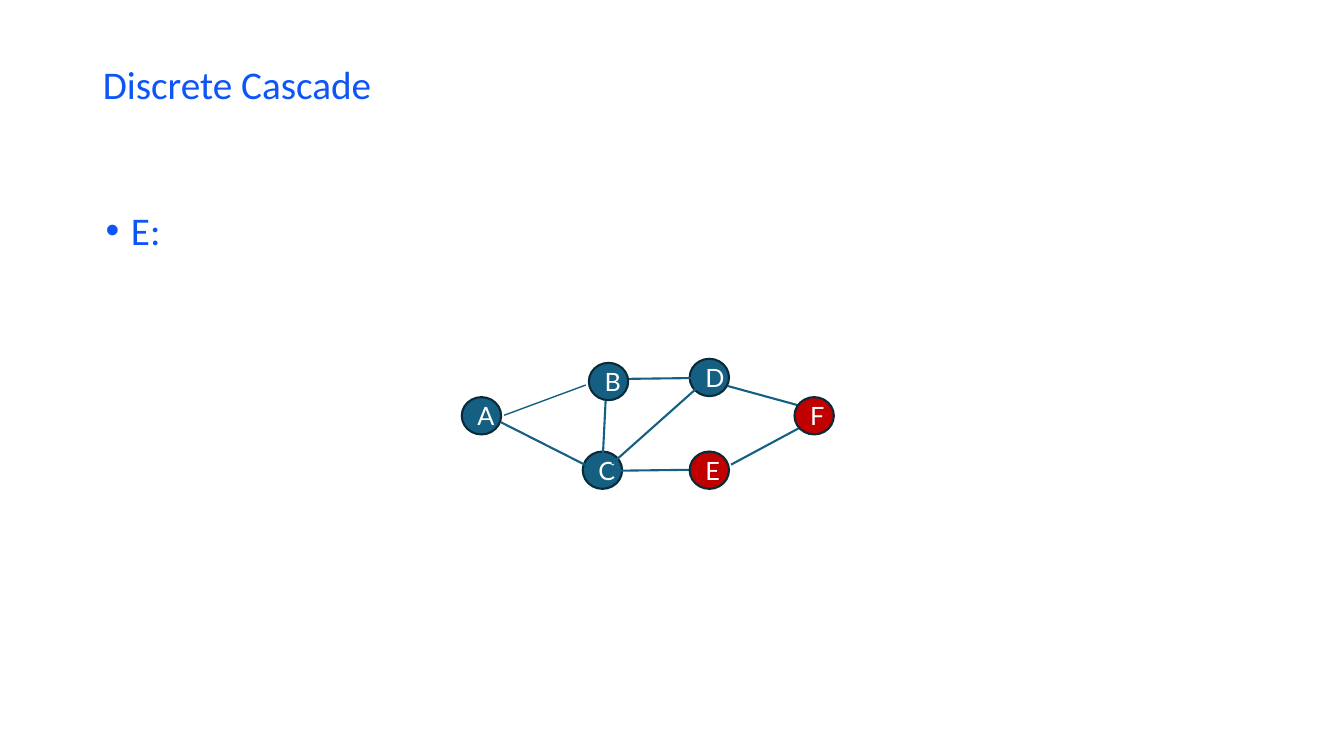
from dataclasses import dataclass

from lxml import etree
from pptx import Presentation
from pptx.dml.color import RGBColor
from pptx.enum.shapes import MSO_CONNECTOR, MSO_SHAPE
from pptx.enum.text import MSO_ANCHOR, PP_ALIGN
from pptx.oxml.ns import qn
from pptx.util import Inches, Pt

STRAIGHT = MSO_CONNECTOR.STRAIGHT
ELLIPSE = MSO_SHAPE.OVAL
MIDDLE = MSO_ANCHOR.MIDDLE
LEFT, CENTER = PP_ALIGN.LEFT, PP_ALIGN.CENTER


@dataclass
class Theme:
    heading: RGBColor = RGBColor(0x0D, 0x55, 0xF7)
    inactive: RGBColor = RGBColor(0x15, 0x60, 0x82)
    active: RGBColor = RGBColor(0xC0, 0x00, 0x00)
    outline: RGBColor = RGBColor(0x09, 0x2A, 0x39)
    label: RGBColor = RGBColor(0xFF, 0xFF, 0xFF)
    text_font: str = "Calibri"
    label_font: str = "Lato"
    text_size: int = 28
    label_size: int = 18
    stroke: float = 1.5
    thin_stroke: float = 1


theme = Theme()

# Graph grid: shared columns and rows, in inches
NODE_WIDTH, NODE_HEIGHT = 0.39, 0.37
COLUMN_A, COLUMN_C, COLUMN_B, COLUMN_DE, COLUMN_F = 4.58, 5.78, 5.84, 6.84, 7.88
ROW_D, ROW_B, ROW_AF, ROW_CE = 3.56, 3.6, 3.94, 4.48

back_nodes = [
    ("A", COLUMN_A, ROW_AF, theme.inactive),
    ("C", COLUMN_C, ROW_CE, theme.inactive),
    ("D", COLUMN_DE, ROW_D, theme.inactive),
]
front_nodes = [
    ("F", COLUMN_F, ROW_AF, theme.active),
    ("E", COLUMN_DE, ROW_CE, theme.active),
    ("B", COLUMN_B, ROW_B, theme.inactive),
]
edges = [
    (4.97, 4.19, 5.8, 4.61, theme.stroke),  # A to C
    (5, 4.12, 5.81, 3.82, theme.thin_stroke),  # A to B
    (6.01, 3.91, 5.98, 4.51, theme.stroke),  # B to C
    (6.98, 3.79, 6.07, 4.6, theme.stroke),  # D to C
    (6.91, 3.75, 6.12, 3.76, theme.stroke),  # D to B
    (6.92, 4.66, 6.13, 4.67, theme.stroke),  # E to C
    (8.05, 4.18, 7.25, 4.61, theme.stroke),  # F to E
    (7.95, 4.03, 7.22, 3.83, theme.stroke),  # F to D
]


def add_text(para, text, font, size, color, align):
    para.alignment = align
    span = para.add_run()
    span.text = text
    span.font.name = font
    span.font.size = Pt(size)
    span.font.color.rgb = color


def add_nodes(page, nodes):
    for name, left, top, fill in nodes:
        node = page.shapes.add_shape(
            ELLIPSE, Inches(left), Inches(top), Inches(NODE_WIDTH), Inches(NODE_HEIGHT))
        node.shadow.inherit = False
        node.fill.solid()
        node.fill.fore_color.rgb = fill
        node.line.color.rgb = theme.outline
        node.line.width = Pt(theme.stroke)
        node.text_frame.vertical_anchor = MIDDLE
        add_text(node.text_frame.paragraphs[0], name, theme.label_font,
                 theme.label_size, theme.label, CENTER)


deck = Presentation()
deck.slide_width, deck.slide_height = Inches(13.33), Inches(7.5)
page = deck.slides.add_slide(deck.slide_layouts.get_by_name("Title Only"))

# Title
title = page.shapes.title
title.left, title.top = Inches(0.92), Inches(0.4)
title.width, title.height = Inches(11.5), Inches(0.93)
title.text_frame.vertical_anchor = MIDDLE
para = title.text_frame.paragraphs[0]
para.line_spacing = 0.9
add_text(para, "Discrete Cascade", theme.text_font, theme.text_size, theme.heading, LEFT)

# Bullet line
box = page.shapes.add_textbox(Inches(0.95), Inches(2.05), Inches(10.01), Inches(0.55))
box.text_frame.word_wrap = True
para = box.text_frame.paragraphs[0]
para.line_spacing = 0.9
para.space_before = Pt(10)
add_text(para, "E:", theme.text_font, theme.text_size, theme.heading, LEFT)
settings = para._p.get_or_add_pPr()
settings.set("marL", str(Inches(0.25)))
settings.set("indent", str(-Inches(0.25)))
etree.SubElement(settings, qn("a:buFont")).set("typeface", "Arial")
etree.SubElement(settings, qn("a:buChar")).set("char", "•")

# Graph: edges run between the back and front nodes
add_nodes(page, back_nodes)
for start_x, start_y, end_x, end_y, width in edges:
    edge = page.shapes.add_connector(
        STRAIGHT, Inches(start_x), Inches(start_y), Inches(end_x), Inches(end_y))
    edge.line.color.rgb = theme.inactive
    edge.line.width = Pt(width)
    etree.SubElement(edge._element.spPr, qn("a:effectLst"))
add_nodes(page, front_nodes)

deck.save("out.pptx")
